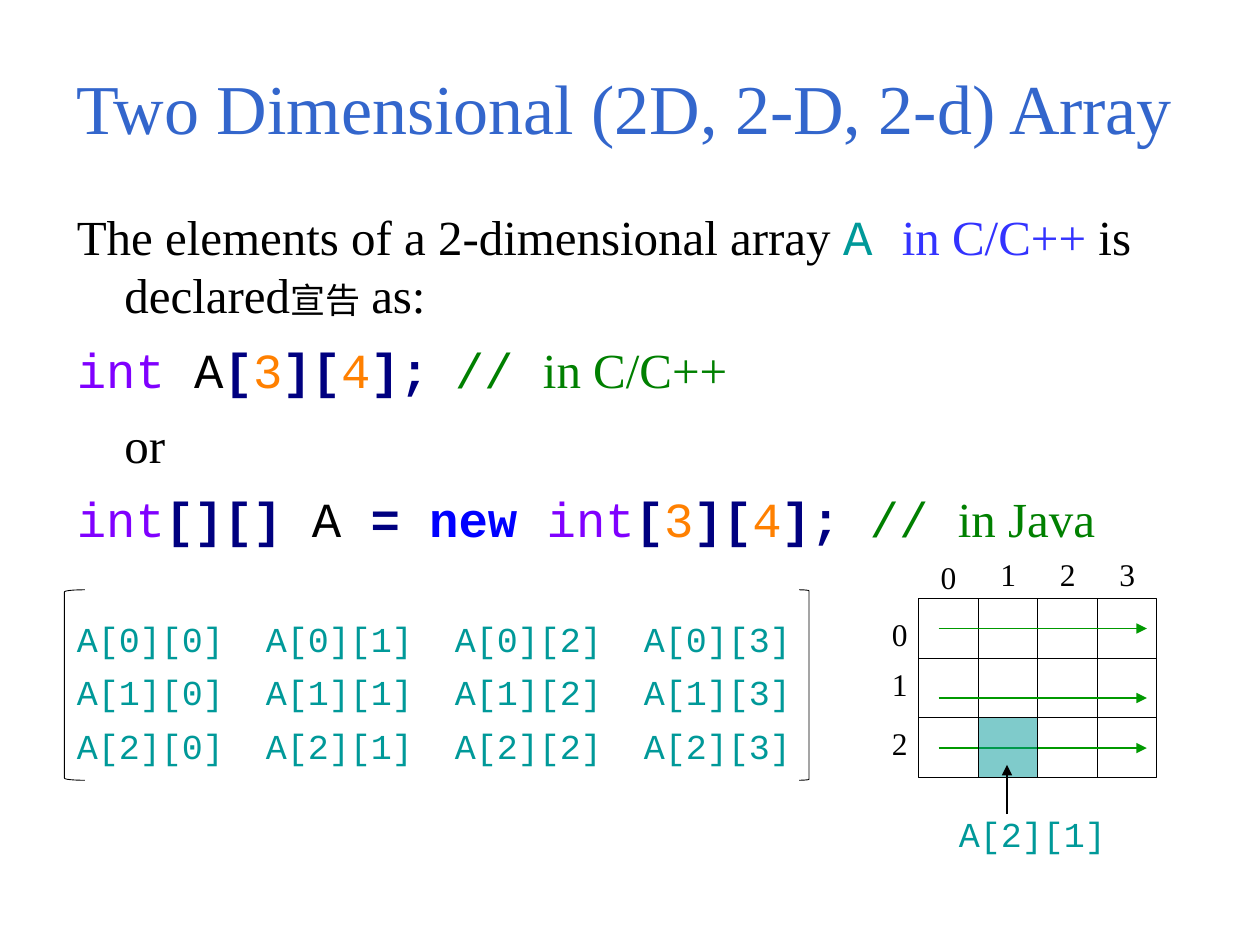
from lxml import etree
from pptx import Presentation
from pptx.dml.color import RGBColor
from pptx.enum.shapes import MSO_CONNECTOR, MSO_SHAPE
from pptx.enum.text import MSO_ANCHOR, MSO_AUTO_SIZE, PP_ALIGN
from pptx.oxml.ns import qn
from pptx.util import Cm, Pt

STRAIGHT = MSO_CONNECTOR.STRAIGHT
RECTANGLE = MSO_SHAPE.RECTANGLE
LEFT_BRACKET, RIGHT_BRACKET = MSO_SHAPE.LEFT_BRACKET, MSO_SHAPE.RIGHT_BRACKET
TOP, MIDDLE = MSO_ANCHOR.TOP, MSO_ANCHOR.MIDDLE
CENTER, LEFT = PP_ALIGN.CENTER, PP_ALIGN.LEFT
NO_AUTOFIT = MSO_AUTO_SIZE.NONE

SERIF, MONO, CJK = "Times New Roman", "Courier New", "Noto Sans CJK SC"
COLORS = {
    "title": "3366CC", "text": "000000", "element": "009999",
    "language": "3333FF", "type": "8000FF", "operator": "000080",
    "number": "FF8000", "keyword": "0000FF", "comment": "008000",
    "traversal": "009900",
}
HANG = 0.96
COLUMN_PITCH = 3.81
ROWS, COLUMNS, CELL = 3, 4, 1.2


def color(key):
    return RGBColor.from_string(COLORS[key])


def add_run(paragraph, text, key="text", name=SERIF, size=28, bold=False):
    run = paragraph.add_run()
    run.text = text
    formats = {"name": name, "size": Pt(size), "bold": bold}
    for attribute, value in formats.items():
        setattr(run.font, attribute, value)
    run.font.color.rgb = color(key)
    if name == CJK:
        etree.SubElement(run.font._element, qn("a:ea"), typeface=CJK)


def add_code(paragraph, tokens):
    for text, key in tokens:
        add_run(paragraph, text, key, MONO, bold=key in ("operator", "keyword"))


def layout_paragraph(paragraph, before=0, margin=0, indent=0, tabs=()):
    properties = paragraph._p.get_or_add_pPr()
    properties.set("marL", str(Cm(margin)))
    properties.set("indent", str(Cm(indent)))
    if tabs:
        stops = etree.SubElement(properties, qn("a:tabLst"))
        for position in tabs:
            etree.SubElement(stops, qn("a:tab"), pos=str(Cm(position)), algn="l")
    paragraph.space_before = Pt(before)


def add_label(slide, left, top, width, height, text, **font):
    label = slide.shapes.add_textbox(Cm(left), Cm(top), Cm(width), Cm(height))
    label.text_frame.word_wrap = False
    add_run(label.text_frame.paragraphs[0], text, **font)


def add_outline(slide, preset, left, top, width, height, weight=0.75):
    outline = slide.shapes.add_shape(
        preset, Cm(left), Cm(top), Cm(width), Cm(height))
    outline.shadow.inherit = False
    outline.fill.background()
    outline.line.color.rgb = color("text")
    outline.line.width = Pt(weight)
    return outline


def add_line(slide, x1, y1, x2, y2, key="text", arrow=False):
    line = slide.shapes.add_connector(STRAIGHT, Cm(x1), Cm(y1), Cm(x2), Cm(y2))
    line.line.color.rgb = color(key)
    line.line.width = Pt(0.75)
    if arrow:
        etree.SubElement(line.line._get_or_add_ln(), qn("a:tailEnd"), type="triangle")
    etree.SubElement(line._element.spPr, qn("a:effectLst"))


def place_title(slide, left, top, width, height):
    title = slide.shapes.title
    box = {"left": left, "top": top, "width": width, "height": height}
    for attribute, value in box.items():
        setattr(title, attribute, Cm(value))
    frame = title.text_frame
    formats = {"vertical_anchor": MIDDLE, "word_wrap": True, "auto_size": NO_AUTOFIT}
    for attribute, value in formats.items():
        setattr(frame, attribute, value)
    heading = frame.paragraphs[0]
    heading.alignment = CENTER
    add_run(heading, "Two Dimensional (2D, 2-D, 2-d) Array", "title", size=40)


def place_declarations(slide, left, top, width, height):
    body = slide.shapes.add_textbox(Cm(left), Cm(top), Cm(width), Cm(height))
    frame = body.text_frame
    frame.word_wrap = True
    frame.vertical_anchor = TOP

    intro = frame.paragraphs[0]
    layout_paragraph(intro, margin=HANG, indent=-HANG)
    add_run(intro, "The elements of a 2-dimensional array ")
    add_run(intro, "A ", "element", MONO)
    add_run(intro, "in C/C++ ", "language")
    add_run(intro, "is declared")
    add_run(intro, "宣告", name=CJK, size=20)
    add_run(intro, " as:")

    dimensions = [("[", "operator"), ("3", "number"), ("][", "operator"),
                  ("4", "number")]

    c_code = frame.add_paragraph()
    layout_paragraph(c_code, before=9, tabs=[14.12])
    add_code(c_code, [("int", "type"), (" A", "text"), *dimensions,
                      ("];\t", "operator"), ("// ", "comment")])
    add_run(c_code, "in C/C++", "comment")

    alternative = frame.add_paragraph()
    layout_paragraph(alternative, before=9, margin=HANG)
    add_run(alternative, "or")

    java_code = frame.add_paragraph()
    layout_paragraph(java_code, before=9)
    add_code(java_code, [("int", "type"), ("[][] ", "operator"), ("A ", "text"),
                         ("= ", "operator"), ("new ", "keyword"), ("int", "type"),
                         *dimensions, ("]; ", "operator"), ("// ", "comment")])
    add_run(java_code, "in Java", "comment")

    for row in range(ROWS):
        elements = frame.add_paragraph()
        layout_paragraph(elements, before=6.4 if row else 40,
                         tabs=[COLUMN_PITCH * c for c in range(1, COLUMNS)])
        names = "\t".join(f"A[{row}][{c}]" for c in range(COLUMNS))
        add_run(elements, names, "element", MONO, 20)
    for paragraph in frame.paragraphs:
        paragraph.alignment = LEFT


def place_brackets(slide, left, top, width, height):
    right_width = 0.2
    brackets = [(LEFT_BRACKET, left, 0.41),
                (RIGHT_BRACKET, left + width - right_width, right_width)]
    for preset, x, bracket_width in brackets:
        bracket = add_outline(slide, preset, x, top, bracket_width, height, 0.5)
        bracket.adjustments[0] = 0.1


def place_grid(slide, left, top):
    width, height = COLUMNS * CELL, ROWS * CELL
    label_width, label_height = 0.81, 1.02
    add_outline(slide, RECTANGLE, left, top, width, height)
    for row in range(1, ROWS):
        y = top + row * CELL
        add_line(slide, left, y, left + width, y)
    for column in range(1, COLUMNS):
        x = left + column * CELL
        add_line(slide, x, top, x, top + height)

    for column in range(COLUMNS):
        x = left + (column + 0.5) * CELL - label_width / 2
        y = top - (1 if column else 0.95)
        add_label(slide, x, y, label_width, label_height, str(column), size=18)
    for row, offset in enumerate((0.2, 1.21, 2.41)):
        add_label(slide, left - 0.79, top + offset, label_width, label_height,
                  str(row), size=18)
    for offset in (0.6, 2, 3.01):
        add_line(slide, left + 0.4, top + offset, left + 4.6, top + offset,
                 "traversal", arrow=True)

    selected = add_outline(slide, RECTANGLE, left + CELL, top + 2 * CELL, CELL, CELL)
    selected.fill.solid()
    selected.fill.fore_color.rgb = color("element")
    fill_color = selected._element.spPr.find(qn("a:solidFill"))[0]
    etree.SubElement(fill_color, qn("a:alpha"), val="50000")

    pointer = left + 1.78
    add_line(slide, pointer, top + 4.34, pointer, top + 3.35, arrow=True)
    add_label(slide, left + 0.56, top + 4.19, 3.48, 1.12, "A[2][1]",
              key="element", name=MONO, size=20)


def main():
    deck = Presentation()
    deck.slide_width, deck.slide_height = Cm(25.4), Cm(19.05)
    slide = deck.slides.add_slide(deck.slide_layouts[5])
    place_title(slide, 0.89, 0.56, 23.39, 3.18)
    place_declarations(slide, 1.3, 4.03, 22.66, 14.08)
    place_brackets(slide, 1.3, 11.89, 15.01, 3.84)
    place_grid(slide, 18.52, 12.07)
    deck.save("out.pptx")


if __name__ == "__main__":
    main()
